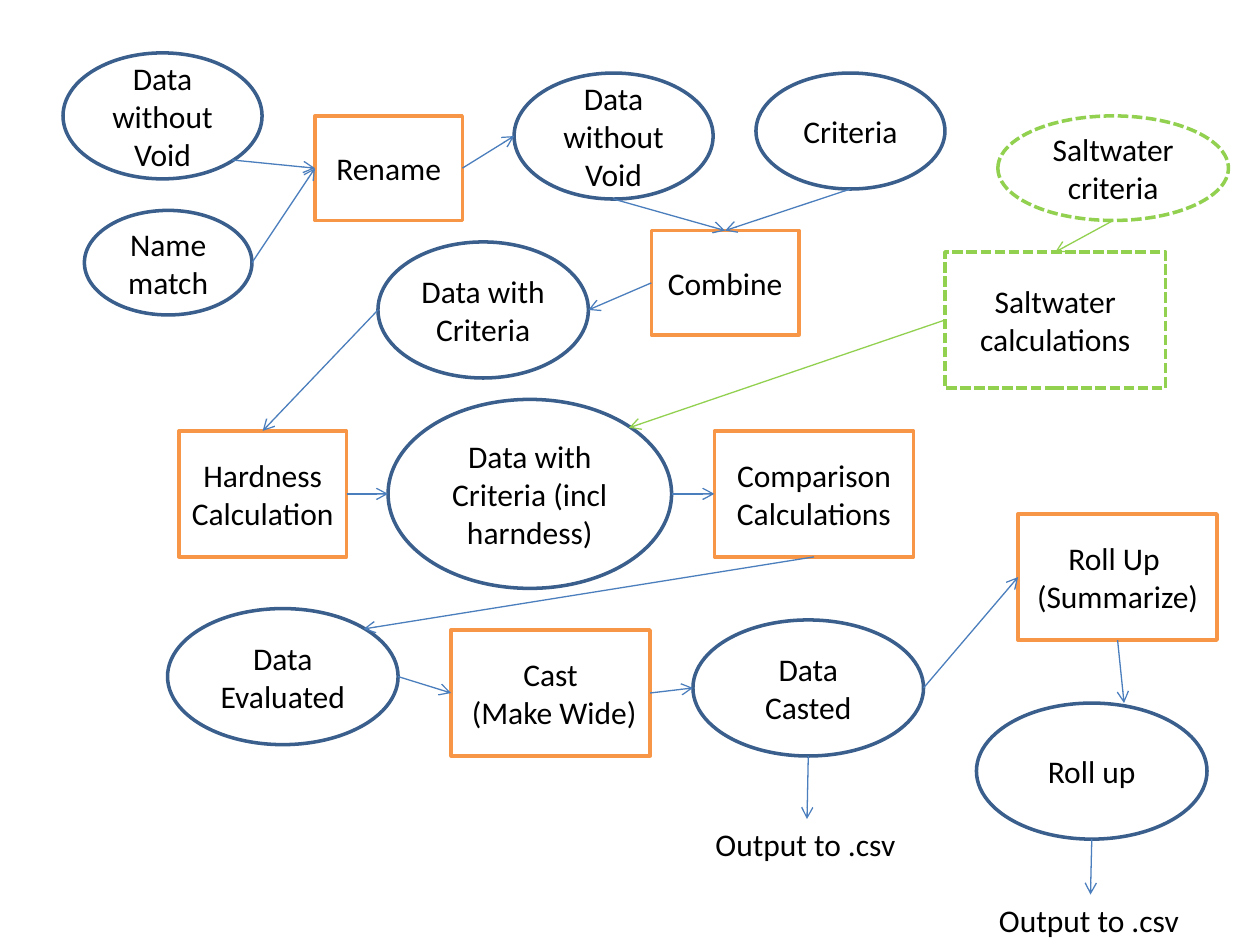
import pptx
import pptx.util
import pptx.dml.color
import pptx.enum.dml
import pptx.enum.shapes
import pptx.enum.text
from lxml import etree
from typing import NamedTuple

Inches = pptx.util.Inches
Pt = pptx.util.Pt
Shape = pptx.enum.shapes.MSO_SHAPE
Align = pptx.enum.text.PP_ALIGN

NAVY, BLUE, ORANGE, GREEN = "3A5F8C", "4B7EBC", "F79646", "92D050"
WHITE, BLACK = "FFFFFF", "000000"
DRAWING = "http://schemas.openxmlformats.org/drawingml/2006/main"


class Style(NamedTuple):
    form: Shape
    line: str
    fill: str = ""
    dashed: bool = False


class Node(NamedTuple):
    style: Style
    left: float
    top: float
    width: float
    height: float
    text: str


class Note(NamedTuple):
    left: float
    top: float
    width: float
    height: float
    text: str


class Link(NamedTuple):
    start: str
    exit: str
    end: str
    entry: str
    color: str = BLUE


DATA = Style(Shape.OVAL, NAVY)
STEP = Style(Shape.RECTANGLE, ORANGE, WHITE)
SALT_DATA = Style(Shape.OVAL, GREEN, WHITE, True)
SALT_STEP = Style(Shape.RECTANGLE, GREEN, WHITE, True)

NODES = {
    "raw": Node(DATA, 0.5, 0.42, 1.58, 1, "Data without Void"),
    "names": Node(DATA, 0.67, 1.67, 1.33, 0.83, "Name match"),
    "rename": Node(STEP, 2.5, 0.92, 1.17, 0.83, "Rename"),
    "renamed": Node(DATA, 4.08, 0.58, 1.58, 1, "Data without Void"),
    "criteria": Node(DATA, 6, 0.58, 1.5, 0.92, "Criteria"),
    "combine": Node(STEP, 5.17, 1.83, 1.17, 0.83, "Combine"),
    "joined": Node(DATA, 3, 1.92, 1.67, 1.08, "Data with Criteria"),
    "hardness": Node(STEP, 1.42, 3.42, 1.33, 1, "Hardness Calculation"),
    "full": Node(DATA, 3.08, 3.17, 2.25, 1.5,
                 "Data with Criteria (incl harndess)"),
    "compare": Node(STEP, 5.67, 3.42, 1.58, 1, "Comparison Calculations"),
    "judged": Node(DATA, 1.33, 4.83, 1.83, 1.08, "Data Evaluated"),
    "cast": Node(STEP, 3.58, 5, 1.58, 1, "Cast\n (Make Wide)"),
    "casted": Node(DATA, 5.5, 4.92, 1.83, 1.08, "Data Casted"),
    "sum": Node(STEP, 8.08, 4.08, 1.58, 1, "Roll Up \n(Summarize)"),
    "rolled": Node(DATA, 7.75, 5.58, 1.83, 1.08, "Roll up"),
    "salt calc": Node(SALT_STEP, 7.5, 2, 1.75, 1.08,
                      "Saltwater calculations"),
    "salt": Node(SALT_DATA, 7.92, 0.92, 1.83, 0.83, "Saltwater criteria"),
}

NOTES = {
    "cast file": Note(5.58, 6.5, 1.65, 0.4, "Output to .csv"),
    "roll file": Note(7.83, 7.1, 1.65, 0.4, "Output to .csv"),
}

# Places on a box as shares of its width and height
SPOTS = {
    "top": (0.5, 0), "left": (0, 0.5), "bottom": (0.5, 1), "right": (1, 0.5),
    "upper right": (0.85, 0.15), "lower right": (0.85, 0.85),
    "off top": (0.64, 0),
}

LINKS = [
    Link("raw", "lower right", "rename", "left"),
    Link("names", "right", "rename", "left"),
    Link("rename", "right", "renamed", "left"),
    Link("renamed", "bottom", "combine", "top"),
    Link("criteria", "bottom", "combine", "top"),
    Link("combine", "left", "joined", "right"),
    Link("joined", "left", "hardness", "top"),
    Link("hardness", "right", "full", "left"),
    Link("full", "right", "compare", "left"),
    Link("compare", "bottom", "judged", "upper right"),
    Link("judged", "right", "cast", "left"),
    Link("cast", "right", "casted", "left"),
    Link("casted", "bottom", "cast file", "top"),
    Link("casted", "right", "sum", "left"),
    Link("sum", "bottom", "rolled", "off top"),
    Link("rolled", "bottom", "roll file", "top"),
    Link("salt", "bottom", "salt calc", "top", GREEN),
    Link("salt calc", "left", "full", "upper right", GREEN),
]


def paint(code: str) -> pptx.dml.color.RGBColor:
    return pptx.dml.color.RGBColor.from_string(code)


def write(frame, text: str, align: Align) -> None:
    frame.text = text
    for para in frame.paragraphs:
        para.alignment = align
        for run in para.runs:
            run.font.name = "Calibri"
            run.font.size = Pt(18)
            run.font.color.rgb = paint(BLACK)


def add_node(slide, node: Node) -> None:
    style = node.style
    shape = slide.shapes.add_shape(
        style.form, Inches(node.left), Inches(node.top),
        Inches(node.width), Inches(node.height))
    shape.shadow.inherit = False
    if style.fill:
        shape.fill.solid()
        shape.fill.fore_color.rgb = paint(style.fill)
    else:
        shape.fill.background()
    shape.line.color.rgb = paint(style.line)
    shape.line.width = Pt(2)
    if style.dashed:
        shape.line.dash_style = pptx.enum.dml.MSO_LINE.SQUARE_DOT
    frame = shape.text_frame
    frame.word_wrap = True
    frame.vertical_anchor = pptx.enum.text.MSO_ANCHOR.MIDDLE
    write(frame, node.text, Align.CENTER)


def add_note(slide, note: Note) -> None:
    box = slide.shapes.add_textbox(
        Inches(note.left), Inches(note.top),
        Inches(note.width), Inches(note.height))
    frame = box.text_frame
    frame.word_wrap = False
    frame.auto_size = pptx.enum.text.MSO_AUTO_SIZE.SHAPE_TO_FIT_TEXT
    write(frame, note.text, Align.LEFT)


def locate(name: str, spot: str) -> tuple:
    box = NODES.get(name) or NOTES[name]
    across, down = SPOTS[spot]
    return (Inches(box.left + across * box.width),
            Inches(box.top + down * box.height))


def add_link(slide, link: Link) -> None:
    line = slide.shapes.add_connector(
        pptx.enum.shapes.MSO_CONNECTOR.STRAIGHT,
        *locate(link.start, link.exit), *locate(link.end, link.entry))
    line.line.color.rgb = paint(link.color)
    line.line.width = Pt(0.75)
    # Open arrowhead, no shadow
    tail = etree.SubElement(line.line._get_or_add_ln(),
                            f"{{{DRAWING}}}tailEnd")
    tail.set("type", "arrow")
    etree.SubElement(line._element.spPr, f"{{{DRAWING}}}effectLst")


def main() -> None:
    deck = pptx.Presentation()
    deck.slide_width, deck.slide_height = Inches(10), Inches(7.5)
    slide = deck.slides.add_slide(deck.slide_layouts[6])
    for node in NODES.values():
        add_node(slide, node)
    for note in NOTES.values():
        add_note(slide, note)
    for link in LINKS:
        add_link(slide, link)
    deck.save("out.pptx")


main()
